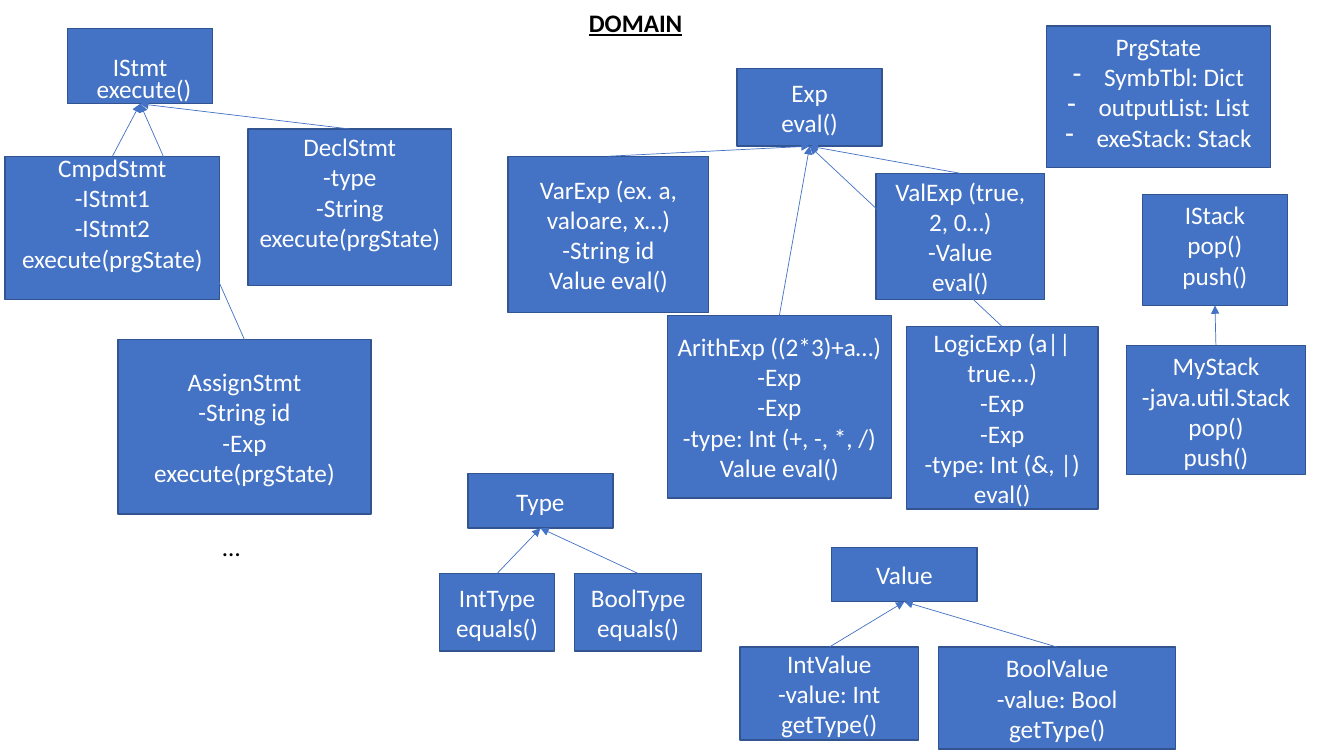
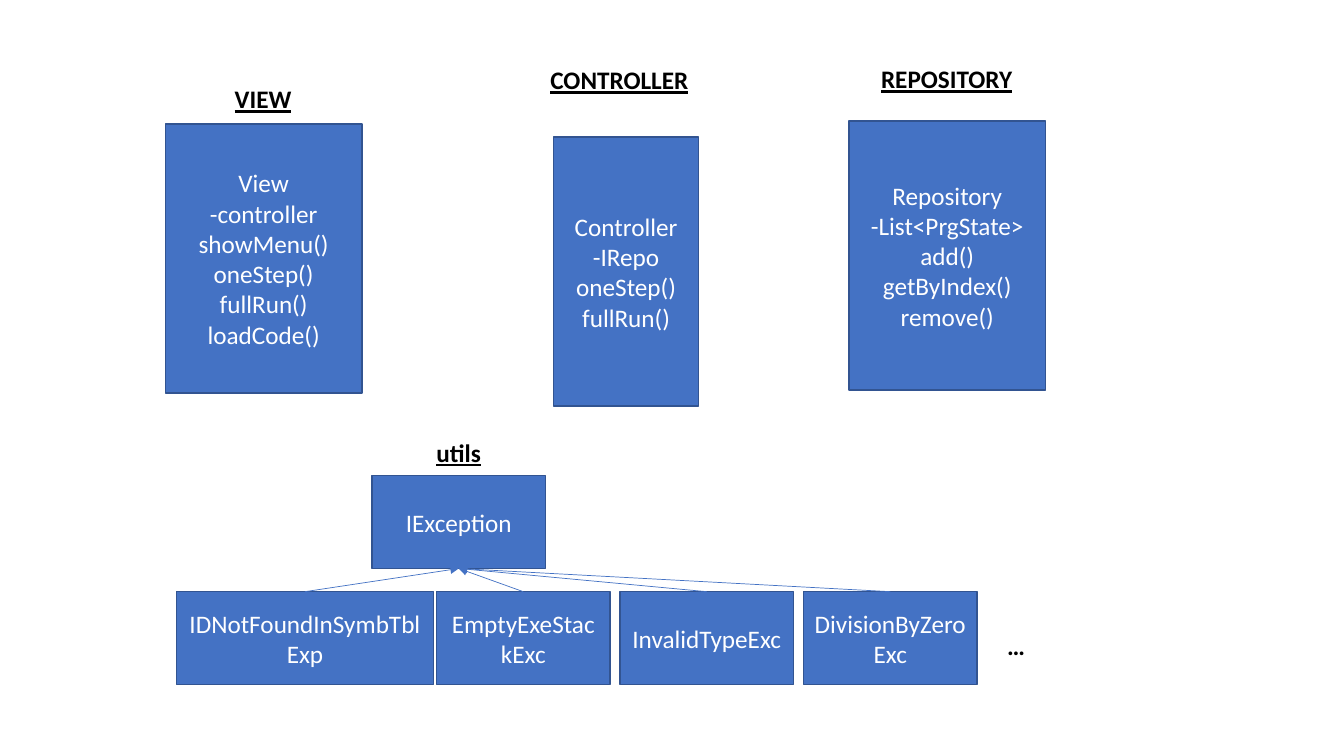
from lxml import etree
from pptx import Presentation
from pptx.dml.color import RGBColor
from pptx.enum.shapes import MSO_CONNECTOR, MSO_SHAPE
from pptx.enum.text import MSO_ANCHOR, MSO_AUTO_SIZE, PP_ALIGN
from pptx.oxml.ns import qn
from pptx.util import Inches, Pt

RECT = MSO_SHAPE.RECTANGLE
STRAIGHT = MSO_CONNECTOR.STRAIGHT
TOP, MIDDLE = MSO_ANCHOR.TOP, MSO_ANCHOR.MIDDLE
LEFT, CENTER = PP_ALIGN.LEFT, PP_ALIGN.CENTER
GROW = MSO_AUTO_SIZE.SHAPE_TO_FIT_TEXT
TITLE_ONLY, BLANK = 5, 6
TOP_SIDE, BOTTOM_SIDE = 0, 2

COLORS = {"fill": "4472C4", "border": "325491", "light": "FFFFFF", "dark": "000000"}
BODY = {"name": "Calibri", "size": Pt(18), "bold": False, "underline": False}
HEADING = {**BODY, "bold": True, "underline": True}
BOLD = {**BODY, "bold": True}
BOX_FRAME = {"word_wrap": True, "vertical_anchor": MIDDLE}
LABEL_FRAME = {"word_wrap": False, "auto_size": GROW, "vertical_anchor": TOP}


def rgb(key):
    return RGBColor.from_string(COLORS[key])


def apply(target, values):
    for name, value in values.items():
        setattr(target, name, value)


class Diagram:
    def __init__(self):
        self.prs = Presentation()
        self.prs.slide_width = Inches(13.33)
        self.prs.slide_height = Inches(7.5)
        self.s = None

    def slide(self, layout):
        self.s = self.prs.slides.add_slide(self.prs.slide_layouts[layout])

    def add_lines(self, tf, lines, style, color, align):
        for i, line in enumerate(lines):
            p = tf.paragraphs[0] if i == 0 else tf.add_paragraph()
            p.alignment = align
            r = p.add_run()
            r.text = line
            apply(r.font, style)
            r.font.color.rgb = rgb(color)

    def box(self, x, y, w, h, *lines, **frame):
        sp = self.s.shapes.add_shape(RECT, Inches(x), Inches(y), Inches(w), Inches(h))
        sp.shadow.inherit = False
        sp.fill.solid()
        sp.fill.fore_color.rgb = rgb("fill")
        sp.line.color.rgb = rgb("border")
        sp.line.width = Pt(1)
        apply(sp.text_frame, {**BOX_FRAME, **frame})
        self.add_lines(sp.text_frame, lines, BODY, "light", CENTER)
        return sp

    def label(self, x, y, w, text, style=HEADING, color="dark"):
        sp = self.s.shapes.add_textbox(Inches(x), Inches(y), Inches(w), Inches(0.4))
        apply(sp.text_frame, LABEL_FRAME)
        self.add_lines(sp.text_frame, [text], style, color, LEFT)

    def title(self, x, y, w, text):
        sp = self.s.shapes.title
        apply(sp, {"left": Inches(x), "top": Inches(y),
                   "width": Inches(w), "height": Inches(0.4)})
        apply(sp.text_frame, LABEL_FRAME)
        self.add_lines(sp.text_frame, [text], HEADING, "dark", LEFT)

    def dashes(self, paragraphs):
        for p in paragraphs:
            pPr = p._p.get_or_add_pPr()
            pPr.set("marL", str(Inches(0.31)))
            pPr.set("indent", str(-Inches(0.31)))
            etree.SubElement(pPr, qn("a:buFontTx"))
            etree.SubElement(pPr, qn("a:buChar"), char="-")

    def inherit(self, parent, *children):
        for child in children:
            c = self.s.shapes.add_connector(STRAIGHT, 0, 0, 0, 0)
            c.begin_connect(child, TOP_SIDE)
            c.end_connect(parent, BOTTOM_SIDE)
            c.line.color.rgb = rgb("fill")
            c.line.width = Pt(0.5)
            spPr = c._element.spPr
            etree.SubElement(spPr.find(qn("a:ln")), qn("a:tailEnd"), type="triangle")
            etree.SubElement(spPr, qn("a:effectLst"))


def domain(d):
    d.slide(TITLE_ONLY)
    d.title(5.74, 0.02, 1.14, "DOMAIN")

    lifted = {"margin_bottom": Inches(0.35)}
    stmt = d.box(0.67, 0.28, 1.44, 0.75, "IStmt")
    compound = d.box(0.05, 1.55, 2.13, 1.42, "CmpdStmt", "-IStmt1", "-IStmt2",
                     "execute(prgState)", **lifted)
    declare = d.box(2.46, 1.28, 2.02, 1.55, "DeclStmt", "-type", "-String",
                    "execute(prgState)", **lifted)
    assign = d.box(1.17, 3.37, 2.51, 1.73, "AssignStmt", "-String id", "-Exp",
                   "execute(prgState)")
    d.inherit(stmt, compound, assign, declare)
    d.label(0.86, 0.68, 1.15, "execute()", BODY, "light")
    d.label(2.11, 5.22, 0.38, "…", BODY)

    state = d.box(10.38, 0.26, 2.22, 1.4, "PrgState", "SymbTbl: Dict",
                  "outputList: List", "exeStack: Stack", vertical_anchor=TOP)
    d.dashes(state.text_frame.paragraphs[1:])

    exp = d.box(7.31, 0.68, 1.44, 0.77, "Exp", "eval()")
    var = d.box(5.04, 1.55, 1.99, 1.55, "VarExp (ex. a, valoare, x…)",
                "-String id", "Value eval()")
    val = d.box(8.69, 1.72, 1.67, 1.25, "ValExp (true, 2, 0…)", "-Value", "eval()")
    arith = d.box(6.62, 3.13, 2.22, 1.81, "ArithExp ((2*3)+a…)", "-Exp", "-Exp",
                  "-type: Int (+, -, *, /)", "Value eval()")
    logic = d.box(8.99, 3.24, 1.9, 1.81, "LogicExp (a||true...)", "-Exp", "-Exp",
                  "-type: Int (&, |)", "eval()")
    d.inherit(exp, var, arith, logic, val)

    kind = d.box(4.64, 4.7, 1.44, 0.54, "Type")
    int_type = d.box(4.36, 5.69, 1.14, 0.77, "IntType", "equals()")
    bool_type = d.box(5.7, 5.69, 1.26, 0.77, "BoolType", "equals()")
    d.inherit(kind, int_type, bool_type)

    value = d.box(8.25, 5.43, 1.44, 0.54, "Value")
    int_value = d.box(7.34, 6.42, 1.77, 0.92, "IntValue", "-value: Int", "getType()")
    bool_value = d.box(9.31, 6.42, 2.35, 1.01, "BoolValue", "-value: Bool", "getType()")
    d.inherit(value, int_value, bool_value)

    stack = d.box(11.33, 1.93, 1.44, 1.1, "IStack", "pop()", "push()",
                  vertical_anchor=TOP)
    my_stack = d.box(11.17, 3.43, 1.78, 1.28, "MyStack", "-java.util.Stack",
                     "pop()", "push()", vertical_anchor=TOP)
    d.inherit(stack, my_stack)


def layers(d):
    d.slide(BLANK)
    d.label(2.23, 0.78, 0.77, "VIEW")
    d.box(1.64, 1.23, 1.95, 2.67, "View", "-controller", "showMenu()", "oneStep()",
          "fullRun()", "loadCode()")
    d.label(5.36, 0.59, 1.58, "CONTROLLER")
    d.box(5.49, 1.36, 1.44, 2.67, "Controller", "-IRepo", "oneStep()", "fullRun()")
    d.label(8.64, 0.58, 1.51, "REPOSITORY")
    d.box(8.42, 1.2, 1.95, 2.67, "Repository", "-List<PrgState>", "add()",
          "getByIndex()", "remove()")

    d.label(4.23, 4.29, 0.65, "utils")
    exception = d.box(3.69, 4.72, 1.72, 0.92, "IException")
    children = [d.box(1.75, 5.87, 2.55, 0.92, "IDNotFoundInSymbTblExp")]
    for i, name in enumerate(["EmptyExeStackExc", "InvalidTypeExc", "DivisionByZeroExc"]):
        children.append(d.box(4.33 + 1.82 * i, 5.87, 1.72, 0.92, name))
    d.inherit(exception, *children)
    d.label(9.89, 6.2, 0.38, "…", BOLD)


def main():
    d = Diagram()
    domain(d)
    layers(d)
    d.prs.save("out.pptx")


if __name__ == "__main__":
    main()
